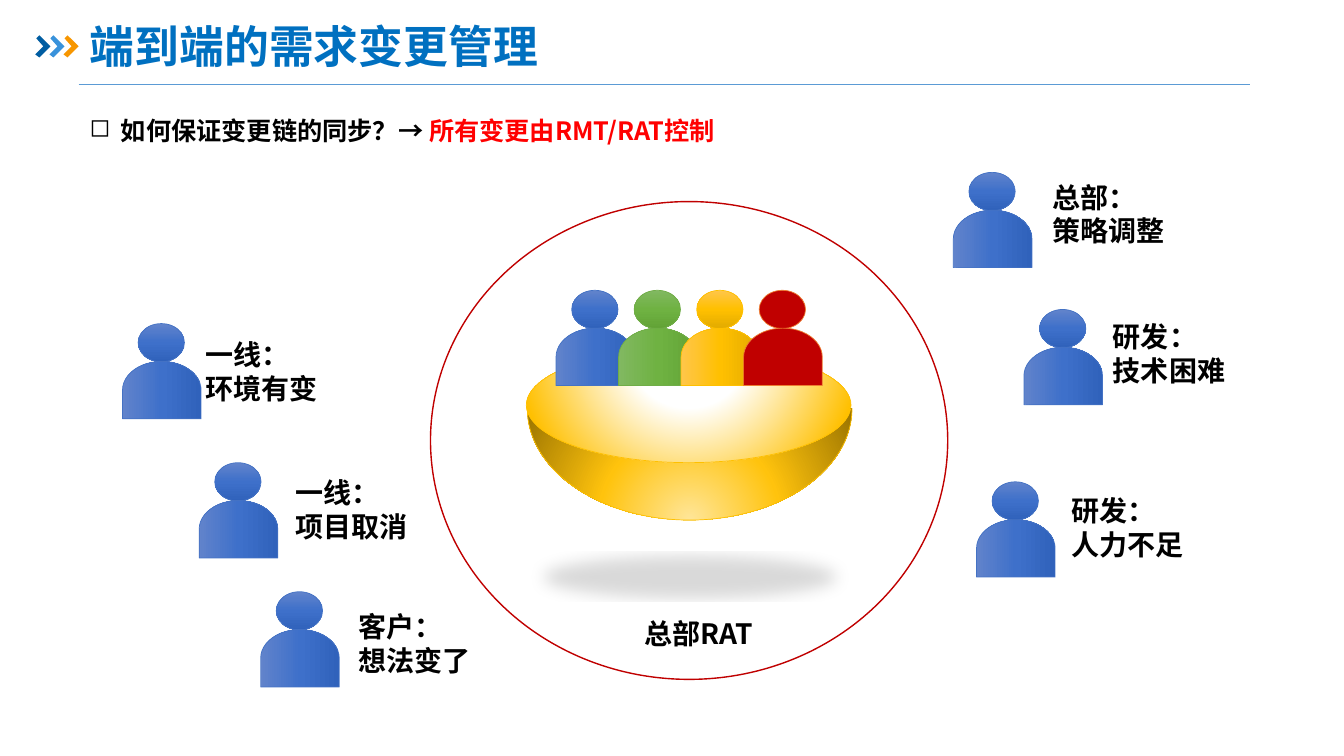
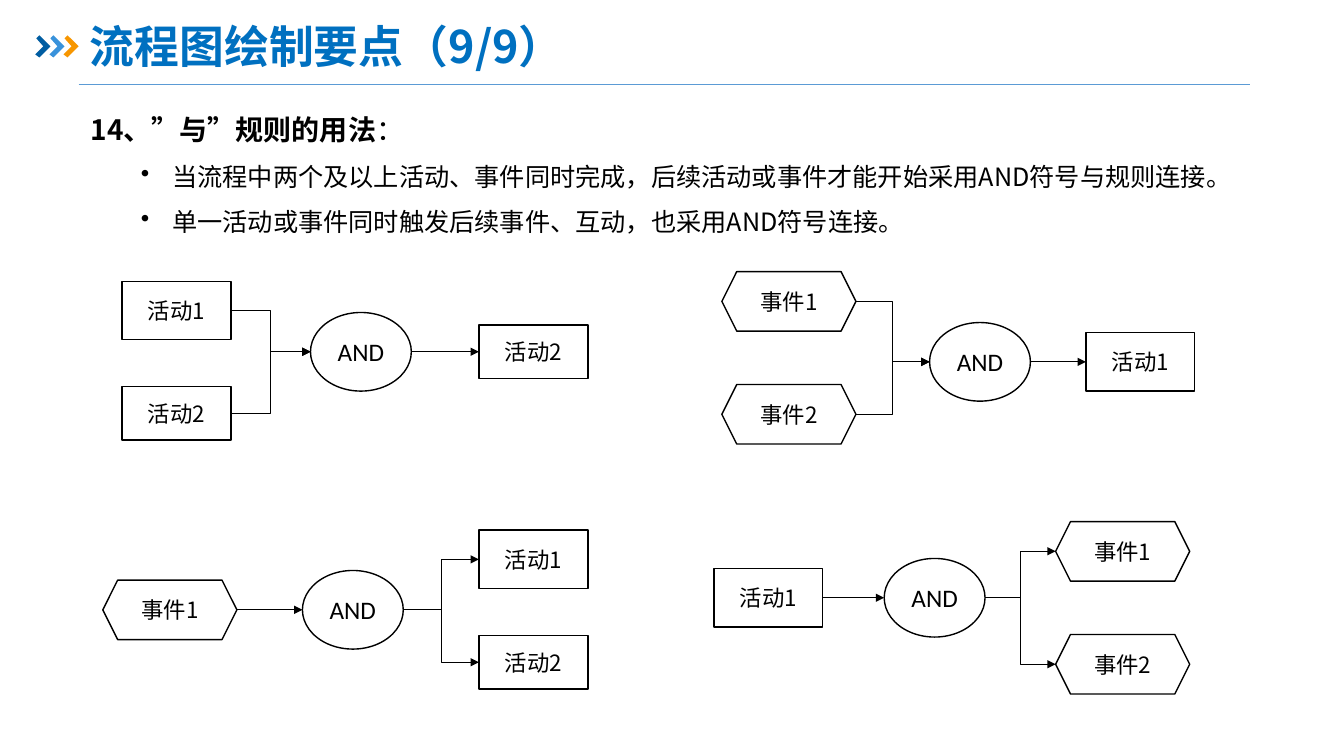
from lxml import etree
from pptx import Presentation
from pptx import util as u
from pptx.dml.color import RGBColor
from pptx.enum import shapes as es, text as et
from pptx.oxml.ns import qn

PX = 9144
SANS = "Noto Sans CJK SC"
KIND = es.MSO_SHAPE
HUES = {
    "title": "0070C0", "rule": "5B9BD5", "ink": "000000", "paper": "FFFFFF",
    "alert": "FF0000", "red": "C00000", "edge": "ED7D31", "gold": "FFC000",
    "blue": "4472C4", "green": "70AD47",
}
MARKS = ["005DA2", "3992DB", "F79600"]
SHADES = {
    "blue": ["6183CB", "3E70CA", "3062BB"],
    "green": ["81B861", "6FB242", "62A336"],
    "gold": ["FFC64B", "FFC000", "E3AB00"],
}
VOICES = [
    (132, 321, 194, 330, "一线：\n环境有变"),
    (208, 459, 283, 467, "一线：\n项目取消"),
    (269, 587, 346, 600, "客户：\n想法变了"),
    (956, 171, 1034, 174, "总部：\n策略调整"),
    (1026, 307, 1094, 312, "研发：\n技术困难"),
    (979, 478, 1053, 485, "研发：\n人力不足"),
]
NODES = {
    "task": (KIND.FLOWCHART_PROCESS, 108, 58, 16, SANS),
    "slim": (KIND.FLOWCHART_PROCESS, 108, 53, 16, SANS),
    "event": (KIND.HEXAGON, 133, 59, 16, SANS),
    "gate": (KIND.OVAL, 100, 78, 18, "Calibri"),
}
FLOWS = [
    ([("task", 121, 308, "活动1"), ("slim", 121, 410, "活动2")],
     (308, 349), [("slim", 475, 349, "活动2")]),
    ([("event", 716, 299, "事件1"), ("event", 716, 411, "事件2")],
     (922, 359), [("task", 1077, 359, "活动1")]),
    ([("event", 102, 605, "事件1")], (300, 605),
     [("task", 475, 555, "活动1"), ("slim", 475, 657, "活动2")]),
    ([("task", 708, 593, "活动1")], (877, 593),
     [("event", 1047, 547, "事件1"), ("event", 1047, 659, "事件2")]),
]


def px(*nums):
    return [u.Emu(int(num * PX)) for num in nums]


def rgb(hue):
    return RGBColor.from_string(HUES.get(hue, hue))


def sub(node, tag, **attrs):
    return etree.SubElement(node, qn("a:" + tag), attrs)


def style(run, size, hue="ink", bold=False, face=SANS):
    font = run.font
    font.size, font.bold, font.name = u.Pt(size), bold, face
    font.color.rgb = rgb(hue)
    sub(run._r.get_or_add_rPr(), "ea", typeface=face)


def add_run(par, words, *look):
    run = par.add_run()
    run.text = words
    style(run, *look)


def add_box(slide, area, words="", size=20):
    box = slide.shapes.add_textbox(*px(*area))
    frame = box.text_frame
    frame.word_wrap = True
    frame.auto_size = et.MSO_AUTO_SIZE.SHAPE_TO_FIT_TEXT
    frame.text = words
    for par in frame.paragraphs:
        for run in par.runs:
            style(run, size, "ink", True)
    return frame


def bullet(par, mark, left):
    props = par._p.get_or_add_pPr()
    props.set("marL", str(left * PX))
    props.set("indent", str(-31 * PX))
    sub(props, "buChar", char=mark)
    par.line_spacing = 1.5


def add_form(shapes, kind, area, fill, line, width=0.5):
    form = shapes.add_shape(kind, *px(*area))
    form.shadow.inherit = False
    if fill:
        form.fill.solid()
        form.fill.fore_color.rgb = rgb(fill)
    else:
        form.fill.background()
    form.line.color.rgb = rgb(line)
    form.line.width = u.Pt(width)
    return form


def blend(form, stops, focus=None):
    form.fill.gradient()
    grad = form._element.spPr.find(qn("a:gradFill"))
    grad.clear()
    grad.set("rotWithShape", "1")
    steps = sub(grad, "gsLst")
    for place, hue in stops:
        sub(sub(steps, "gs", pos=str(place * 1000)), "srgbClr", val=hue)
    if focus:
        way = sub(grad, "path", path="circle")
        sides = {key: str(val * 1000) for key, val in zip("ltrb", focus)}
        sub(way, "fillToRect", **sides)
    else:
        sub(grad, "lin", ang="5400000", scaled="0")


def add_line(slide, kind, start, end, hue):
    line = slide.shapes.add_connector(kind, *px(*start, *end))
    line.line.color.rgb = rgb(hue)
    line.line.width = u.Pt(0.5)
    sub(line._element.spPr, "effectLst")
    return line


def add_page(deck, title):
    slide = deck.slides.add_slide(deck.slide_layouts[5])
    add_line(slide, es.MSO_CONNECTOR.STRAIGHT, (78, 84), (1240, 84), "rule")
    for step, hue in enumerate(MARKS):
        left, top = 35 + 14 * step, 35
        pen = slide.shapes.build_freeform(left + 1, top + 3, PX)
        tips = [(4, 0), (15, 11), (4, 22), (0, 19), (8, 11)]
        pen.add_line_segments([(left + x, top + y) for x, y in tips])
        mark = pen.convert_to_shape()
        mark.shadow.inherit = False
        mark.fill.solid()
        mark.fill.fore_color.rgb = rgb(hue)
        mark.line.fill.background()
    head = slide.shapes.title
    head.left, head.top, head.width, head.height = px(79, 19, 1150, 59)
    frame = head.text_frame
    frame.text = title
    frame.vertical_anchor = et.MSO_ANCHOR.MIDDLE
    par = frame.paragraphs[0]
    par.alignment = et.PP_ALIGN.LEFT
    par.line_spacing = 0.9
    style(par.runs[0], 32, "title", True)
    return slide


def add_person(slide, left, top, hue="blue"):
    group = slide.shapes.add_group_shape().shapes
    line = "edge" if hue == "red" else hue
    head = add_form(group, KIND.FLOWCHART_CONNECTOR,
                    (left + 5, top, 46, 38), hue, line)
    body = add_form(group, KIND.FLOWCHART_DELAY,
                    (left, top + 27, 57, 78), hue, line)
    body.rotation = 270
    if hue in SHADES:
        for part in (head, body):
            blend(part, zip((0, 50, 100), SHADES[hue]))


def add_bowl(slide):
    bowl = add_form(slide.shapes, KIND.OVAL, (523, 295, 322, 221),
                    "gold", "gold")
    blend(bowl, [(0, "FFE699"), (46, "FFC30D"), (100, "997300")],
          (50, 130, 50, -30))
    glow = bowl._element.spPr.find(qn("a:effectLst"))
    cast = sub(glow, "outerShdw", blurRad="152400", dist="317500",
               dir="5400000", sx="90000", sy="-19000", rotWithShape="0")
    sub(sub(cast, "srgbClr", val=HUES["ink"]), "alpha", val="15000")
    add_form(slide.shapes, KIND.RECTANGLE, (491, 290, 387, 114),
             "paper", "paper", 1)
    rim = add_form(slide.shapes, KIND.OVAL, (522, 345, 322, 114),
                   "gold", "gold")
    blend(rim, [(0, "FFFFFF"), (35, "FFFFFF"), (100, "FFC000")],
          (50, -80, 50, 180))


def add_node(slide, name, left, mid, words):
    kind, wide, high, size, face = NODES[name]
    node = add_form(slide.shapes, kind, (left, mid - high / 2, wide, high),
                    "paper", "ink", 1)
    frame = node.text_frame
    frame.word_wrap = False
    frame.vertical_anchor = et.MSO_ANCHOR.MIDDLE
    frame.text = words
    par = frame.paragraphs[0]
    par.alignment = et.PP_ALIGN.CENTER
    style(par.runs[0], size, "ink", False, face)
    return node, (left, mid), (left + wide, mid)


def link(slide, source, target):
    first, _, start = source
    last, end, _ = target
    flat = start[1] == end[1]
    kind = es.MSO_CONNECTOR.STRAIGHT if flat else es.MSO_CONNECTOR.ELBOW
    wire = add_line(slide, kind, start, end, "ink")
    sub(wire.line._get_or_add_ln(), "tailEnd", type="triangle")
    if flat and first.auto_shape_type == KIND.FLOWCHART_PROCESS:
        wire.begin_connect(first, 3)
    if flat and last.auto_shape_type == KIND.FLOWCHART_PROCESS:
        wire.end_connect(last, 1)


def add_flow(slide, sources, spot, targets):
    gate = add_node(slide, "gate", *spot, "AND")
    for source in sources:
        link(slide, add_node(slide, *source), gate)
    for target in targets:
        link(slide, gate, add_node(slide, *target))


def show_change(deck):
    slide = add_page(deck, "端到端的需求变更管理")
    add_form(slide.shapes, KIND.OVAL, (427, 200, 513, 474), None, "red", 1)
    par = add_box(slide, (79, 94, 1118, 50)).paragraphs[0]
    bullet(par, "◻", 31)
    add_run(par, "如何保证变更链的同步？→ ", 18, "ink", True)
    add_run(par, "所有变更由RMT/RAT控制", 18, "alert", True)
    add_bowl(slide)
    for step, hue in enumerate(["blue", "green", "gold", "red"]):
        add_person(slide, 562 + 62 * step, 288, hue)
    team = add_box(slide, (613, 607, 160, 44), "总部RAT")
    team.paragraphs[0].alignment = et.PP_ALIGN.CENTER
    for left, top, side, level, words in VOICES:
        add_person(slide, left, top)
        add_box(slide, (side, level, 160, 77), words)


def show_rule(deck):
    slide = add_page(deck, "流程图绘制要点（9/9）")
    frame = add_box(slide, (80, 90, 1140, 151))
    par = frame.paragraphs[0]
    par.line_spacing = 1.5
    add_run(par, "14、”与”规则的用法", 20, "ink", True)
    add_run(par, "：", 20)
    for words in [
        "当流程中两个及以上活动、事件同时完成，后续活动或事件才能开始采用AND符号与规则连接。",
        "单一活动或事件同时触发后续事件、互动，也采用AND符号连接。",
    ]:
        par = frame.add_paragraph()
        par.level = 1
        bullet(par, "•", 81)
        add_run(par, words, 18)
    for flow in FLOWS:
        add_flow(slide, *flow)


def main():
    deck = Presentation()
    deck.slide_width, deck.slide_height = px(1333, 750)
    show_change(deck)
    show_rule(deck)
    deck.save("out.pptx")


if __name__ == "__main__":
    main()
